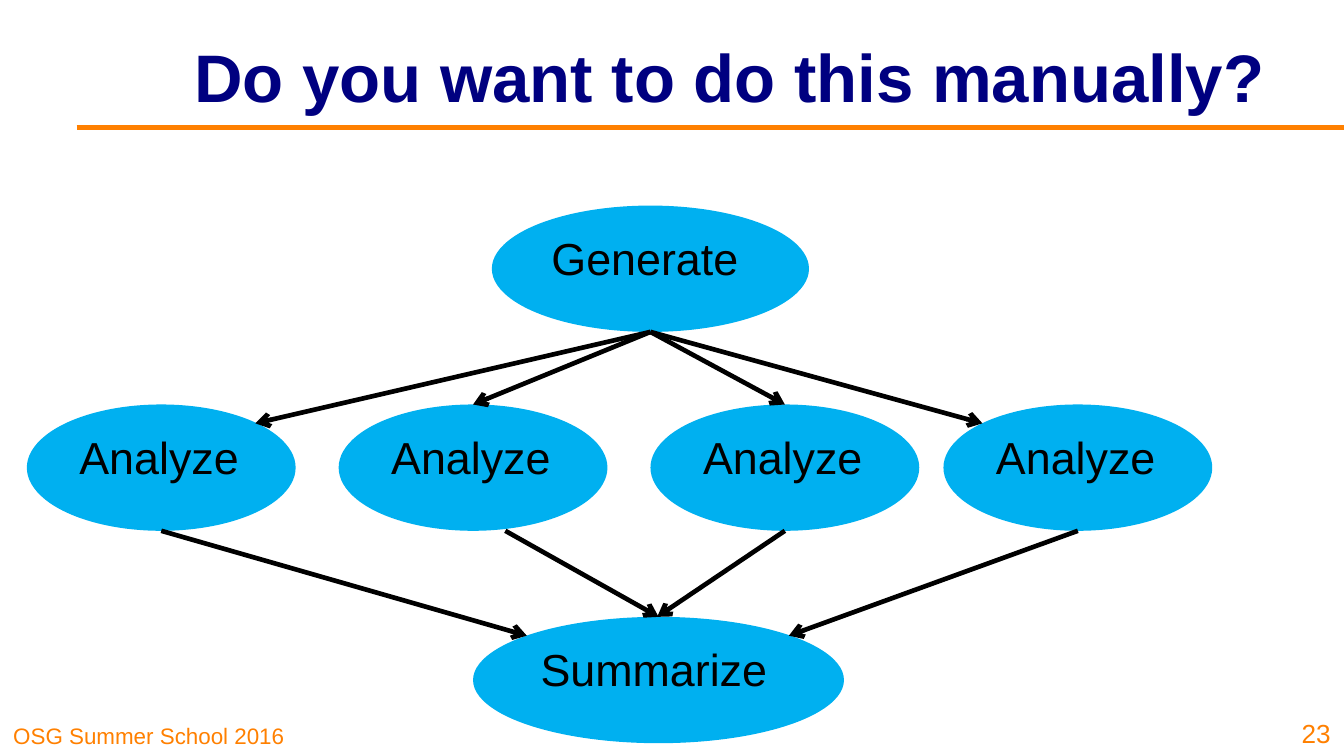
"""Build a slide with a workflow graph: generate, analyze four times, summarize."""
from lxml.etree import SubElement
from pptx import Presentation
from pptx.dml.color import RGBColor
from pptx.enum.shapes import MSO_CONNECTOR, MSO_SHAPE
from pptx.enum.text import MSO_ANCHOR, PP_ALIGN
from pptx.oxml.ns import qn
from pptx.util import Inches, Pt

ORANGE = RGBColor(0xFF, 0x80, 0x00)
NAVY = RGBColor(0x00, 0x00, 0x80)
BLUE = RGBColor(0x00, 0xB0, 0xF0)
BLACK = RGBColor(0x00, 0x00, 0x00)


def write(shape, text, size, color, anchor, align=PP_ALIGN.LEFT, bold=False):
    frame = shape.text_frame
    frame.text = text
    frame.word_wrap = True
    frame.vertical_anchor = anchor
    para = frame.paragraphs[0]
    para.alignment = align
    style = {"name": "Arial", "size": Pt(size), "bold": bold}
    for key, value in style.items():
        setattr(para.font, key, value)
    para.font.color.rgb = color


def draw(start, end, color, width, arrow=True):
    points = [Inches(v) for v in (*start, *end)]
    line = slide.shapes.add_connector(MSO_CONNECTOR.STRAIGHT, *points)
    line.line.color.rgb = color
    line.line.width = Pt(width)
    shape = line._element.spPr
    if arrow:
        SubElement(shape.get_or_add_ln(), qn("a:tailEnd"), type="arrow")
    SubElement(shape, qn("a:effectLst"))


deck = Presentation()
deck.slide_width = Inches(10)
deck.slide_height = Inches(10 * 9 / 16)
slide = deck.slides.add_slide(deck.slide_layouts[5])

draw((0.57, 0.95), (10, 0.95), ORANGE, 3, arrow=False)

title = slide.shapes.title
place = {"left": 1.34, "top": 0.09, "width": 8.18, "height": 0.94}
for key, value in place.items():
    setattr(title, key, Inches(value))
write(title, "Do you want to do this manually?", 36, NAVY,
      MSO_ANCHOR.MIDDLE, PP_ALIGN.CENTER, True)
for side in ("left", "right", "top", "bottom"):
    setattr(title.text_frame, f"margin_{side}", 0)

notes = [
    ("OSG Summer School 2016", 0, 5.31, 2.48, 0.31, 12, PP_ALIGN.LEFT),
    ("23", 9.54, 5.24, 0.46, 0.38, 14, PP_ALIGN.RIGHT),
]
for text, *area, size, align in notes:
    box = slide.shapes.add_textbox(*[Inches(v) for v in area])
    write(box, text, size, ORANGE, MSO_ANCHOR.BOTTOM, align)

tall = 0.94
first, mid, last = 1.53, 3.01, 4.59
lefts = [0.2, 2.52, 4.84, 7.02]
steps = [("Generate", 3.66, first, 2.36)]
steps += [("Analyze", left, mid, 2) for left in lefts]
steps += [("Summarize", 3.52, last, 2.76)]
for text, left, top, width in steps:
    oval = slide.shapes.add_shape(
        MSO_SHAPE.OVAL, *[Inches(v) for v in (left, top, width, tall)])
    oval.shadow.inherit = False
    oval.fill.solid()
    oval.fill.fore_color.rgb = BLUE
    oval.line.fill.background()
    write(oval, text, 24, BLACK, MSO_ANCHOR.TOP)

for end in [(1.9, 3.15), (3.52, mid), (5.84, mid), (7.31, 3.15)]:
    draw((4.84, first + tall), end, BLACK, 2.5)

joins = [(1.2, 3.92, 4.73), (3.76, 4.9, last), (5.84, 4.89, last), (8.02, 5.87, 4.73)]
for start, *end in joins:
    draw((start, mid + tall), end, BLACK, 2.5)

deck.save("out.pptx")
